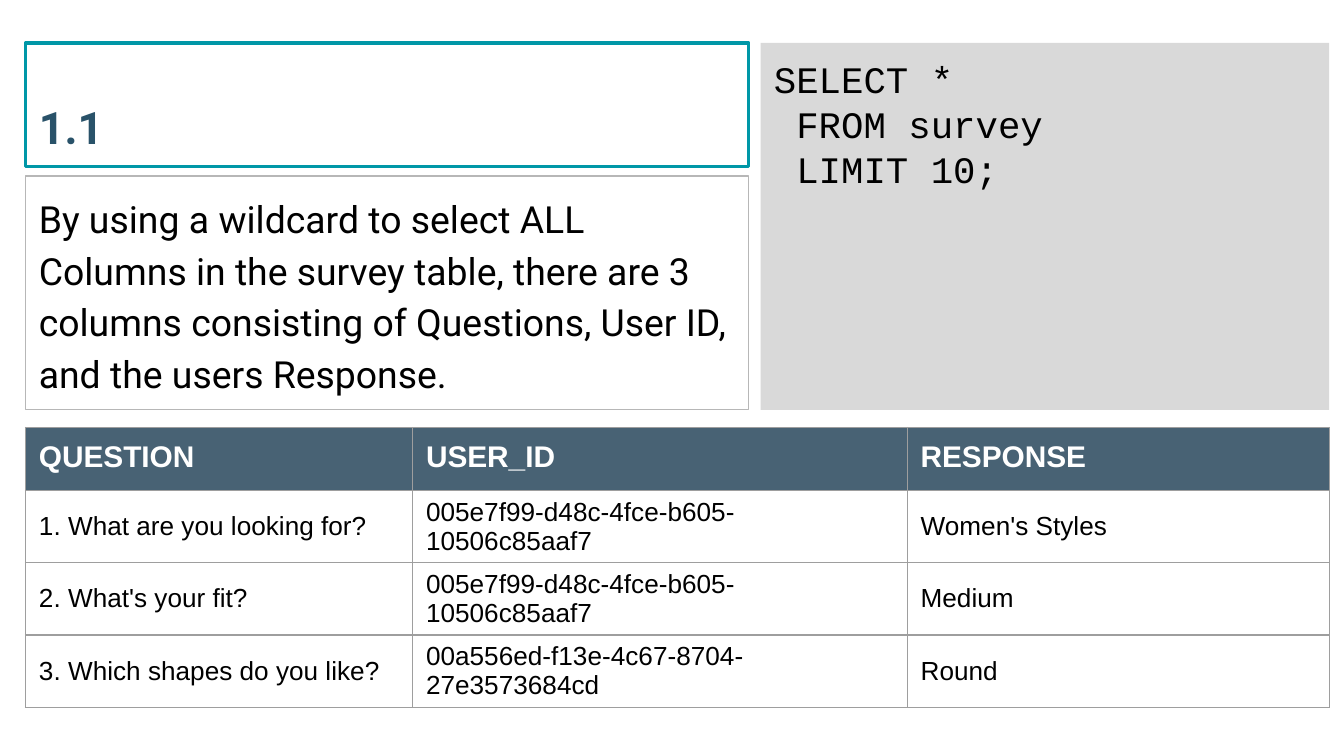
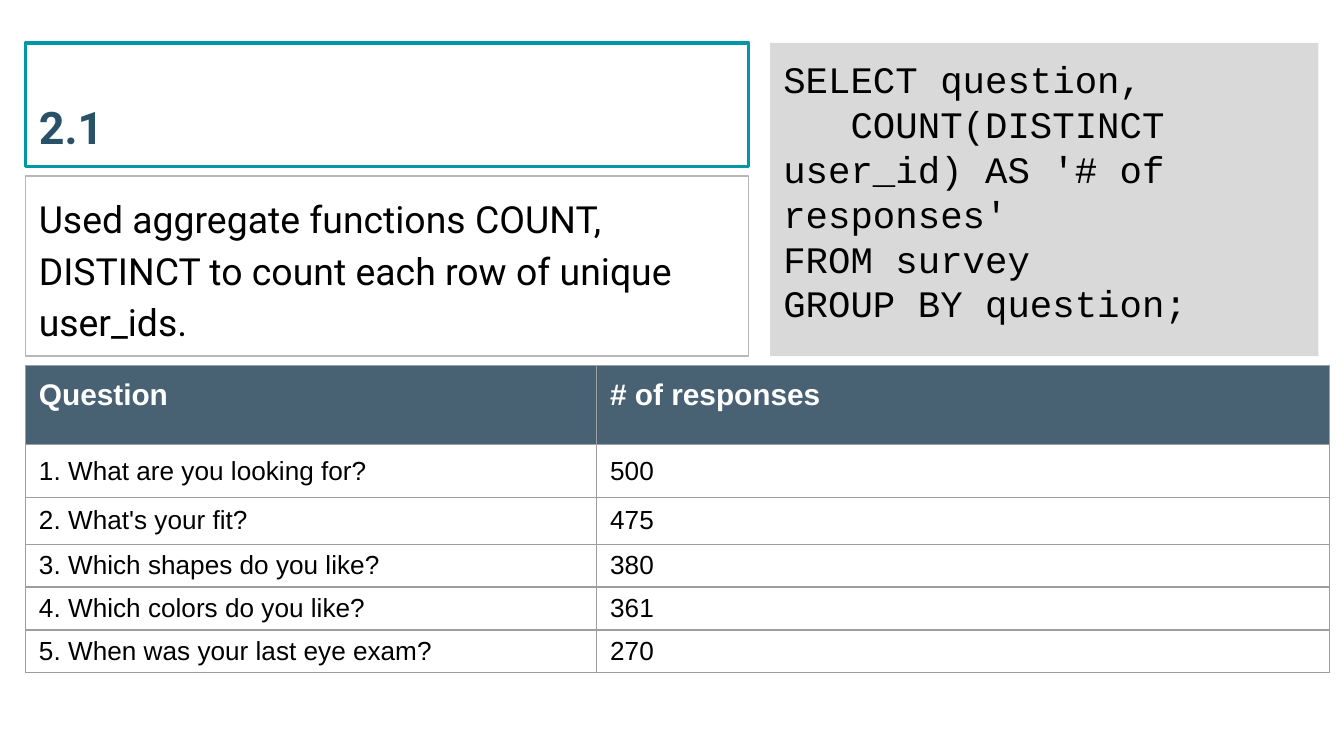
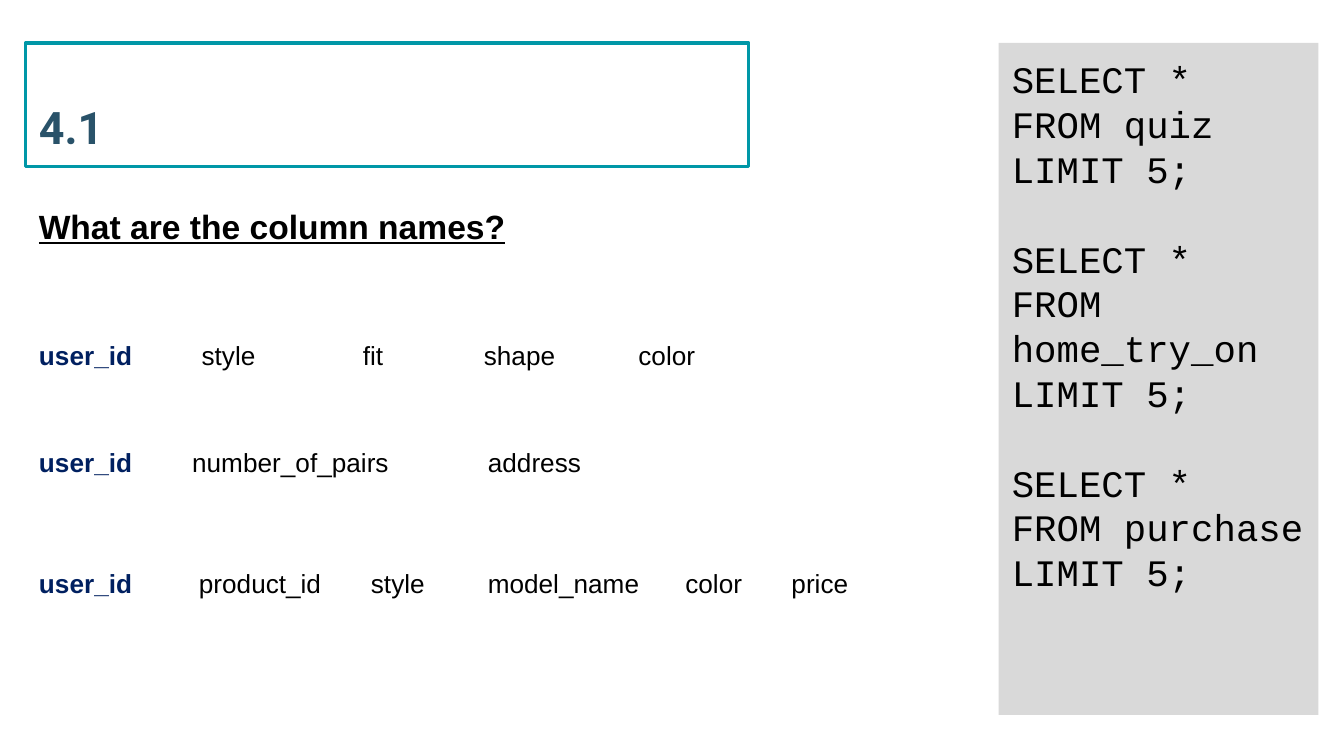
import pptx
import pptx.util
import pptx.dml.color
import pptx.enum.shapes
import pptx.enum.text
import pptx.oxml
import pptx.oxml.ns

Inches, Pt = pptx.util.Inches, pptx.util.Pt
RGB = pptx.dml.color.RGBColor
ANCHOR = pptx.enum.text.MSO_ANCHOR

WHITE = RGB(0xFF, 0xFF, 0xFF)
BLACK = RGB(0, 0, 0)
TEAL = RGB(0x00, 0x97, 0xA7)
SLATE = RGB(0x29, 0x52, 0x69)
HEAD = RGB(0x20, 0x40, 0x56)
NAVY = RGB(0x00, 0x20, 0x60)
PALE = RGB(0xD9, 0xD9, 0xD9)
EDGE = RGB(0xB7, 0xB7, 0xB7)
RULE = RGB(0x9E, 0x9E, 0x9E)
PLAIN = "{2D5ABB26-0587-4C30-8999-92F81FD0307C}"  # table style without grid or fill
LEFT, TOP, PAD = 0.19, 0.32, Inches(0.1)


def panel(shape, box, text, face, size, color=BLACK, anchor=ANCHOR.TOP):
    """Place a box, pad it evenly and set its left-aligned text."""
    shape.left, shape.top, shape.width, shape.height = map(Inches, box)
    frame = shape.text_frame
    frame.auto_size = pptx.enum.text.MSO_AUTO_SIZE.NONE
    frame.word_wrap = True
    frame.vertical_anchor = anchor
    frame.margin_left = frame.margin_right = PAD
    frame.margin_top = frame.margin_bottom = PAD
    frame.text = text
    for para in frame.paragraphs:
        para.alignment = pptx.enum.text.PP_ALIGN.LEFT
        para.font.name, para.font.size = face, Pt(size)
        para.font.color.rgb = color
    return frame


def grid(slide, top, cols, heights, rows, ruled):
    """Add a ruled table with a header row, or a bare one led by a bold key."""
    frame = slide.shapes.add_table(
        len(rows), len(cols), Inches(LEFT), Inches(top),
        Inches(sum(cols)), Inches(sum(heights)))
    table = frame.table
    table.first_row = table.horz_banding = False
    table._tbl.tblPr.find(pptx.oxml.ns.qn("a:tableStyleId")).text = PLAIN
    for col, width in zip(table.columns, cols):
        col.width = Inches(width)
    for r, row in enumerate(rows):
        table.rows[r].height = Inches(heights[r])
        for c, text in enumerate(row):
            cell = table.cell(r, c)
            head = ruled and r == 0
            key = not ruled and c == 0
            cell.text = text
            font = cell.text_frame.paragraphs[0].font
            font.name, font.size = "Arial", Pt(16 if head else 14)
            font.bold = head or key
            font.color.rgb = WHITE if head else NAVY if key else BLACK
            props = cell._tc.get_or_add_tcPr()
            if head:
                cell.margin_top = cell.margin_bottom = PAD
                cell.fill.solid()
                cell.fill.fore_color.rgb = HEAD
                tint = props.find(".//" + pptx.oxml.ns.qn("a:srgbClr"))
                tint.append(pptx.oxml.parse_xml(
                    f'<a:alpha {pptx.oxml.ns.nsdecls("a")} val="82000"/>'))
            else:
                cell.vertical_anchor = ANCHOR.MIDDLE
                cell.fill.background()
            if ruled:
                for i, side in enumerate("LRTB"):
                    props.insert(i, pptx.oxml.parse_xml(
                        f'<a:ln{side} {pptx.oxml.ns.nsdecls("a")} w="{Pt(0.75)}">'
                        f'<a:solidFill><a:srgbClr val="{RULE}"/></a:solidFill>'
                        f'</a:ln{side}>'))


deck = pptx.Presentation()
deck.slide_width = Inches(10)
deck.slide_height = deck.slide_width * 9 // 16

# title, code box, code, note height, note
pages = [
    ("1.1", (5.66, TOP, 4.23, 2.73),
     "SELECT *\n FROM survey\n LIMIT 10;", 1.74,
     "By using a wildcard to select ALL Columns in the survey table, there are "
     "3 columns consisting of Questions, User ID, and the users Response."),
    ("2.1", (5.73, TOP, 4.08, 2.33),
     "SELECT question,\n   COUNT(DISTINCT user_id) AS '# of responses'\n"
     "FROM survey\nGROUP BY question;", 1.34,
     "Used aggregate functions COUNT, DISTINCT to count each row of unique "
     "user_ids."),
    ("4.1", (7.43, TOP, 2.38, 5),
     "\n".join(f"SELECT *\nFROM {name}\nLIMIT 5;"
               for name in ("quiz", "home_try_on", "purchase")), 0, ""),
]
slides = []
for name, box, code, height, note in pages:
    slide = deck.slides.add_slide(deck.slide_layouts[5])
    slides.append(slide)
    title = slide.shapes.title
    frame = panel(title, (LEFT, TOP, 5.38, 0.92), name, "Roboto", 24, SLATE,
                  ANCHOR.BOTTOM)
    frame.paragraphs[0].font.bold = True
    title.fill.solid()
    title.fill.fore_color.rgb = WHITE
    title.line.color.rgb, title.line.width = TEAL, Pt(2)

    rect = pptx.enum.shapes.MSO_SHAPE.RECTANGLE
    block = slide.shapes.add_shape(rect, 0, 0, 0, 0)
    block.shadow.inherit = False
    block.fill.solid()
    block.fill.fore_color.rgb = PALE
    block.line.fill.background()
    frame = panel(block, box, code, "Courier New", 20)
    for para in frame.paragraphs[1:]:
        if para.text.startswith("SELECT"):
            para.space_before = Pt(24)

    if note:
        block = slide.shapes.add_shape(rect, 0, 0, 0, 0)
        block.shadow.inherit = False
        block.fill.background()
        block.line.color.rgb, block.line.width = EDGE, Pt(0.75)
        frame = panel(block, (LEFT, 1.31, 5.38, height), note, "Roboto", 20)
        frame.paragraphs[0].line_spacing = 1.15

grid(slides[0], 3.18, (2.88, 3.68, 3.14), (0.47, 0.43, 0.43, 0.43), [
    ("QUESTION", "USER_ID", "RESPONSE"),
    ("1. What are you looking for?", "005e7f99-d48c-4fce-b605-10506c85aaf7",
     "Women's Styles"),
    ("2. What's your fit?", "005e7f99-d48c-4fce-b605-10506c85aaf7", "Medium"),
    ("3. Which shapes do you like?", "00a556ed-f13e-4c67-8704-27e3573684cd",
     "Round"),
], True)

grid(slides[1], 2.72, (4.25, 5.45), (0.59, 0.39, 0.35, 0.28, 0.28, 0.28), [
    ("Question", "# of responses"),
    ("1. What are you looking for?", "500"),
    ("2. What's your fit?", "475"),
    ("3. Which shapes do you like?", "380"),
    ("4. Which colors do you like?", "361"),
    ("5. When was your last eye exam?", "270"),
], True)

for top, high, cols, names in [
    (2.49, 0.31, (1.21, 1.2, 0.9, 1.15, 1.03), "user_id style fit shape color"),
    (3.29, 0.31, (1.14, 2.2, 2.3), "user_id number_of_pairs address"),
    (4.15, 0.39, (1.19, 1.28, 0.87, 1.47, 0.79, 0.65),
     "user_id product_id style model_name color price"),
]:
    grid(slides[2], top, cols, (high,), [names.split()], False)

label = slides[2].shapes.add_textbox(
    Inches(LEFT), Inches(1.48), Inches(3.71), Inches(0.4))
label.text_frame.word_wrap = False
label.text_frame.auto_size = pptx.enum.text.MSO_AUTO_SIZE.SHAPE_TO_FIT_TEXT
label.text_frame.text = "What are the column names?"
font = label.text_frame.paragraphs[0].font
font.name, font.size = "Arial", Pt(18)
font.bold = font.underline = True
font.color.rgb = BLACK

deck.save("out.pptx")
